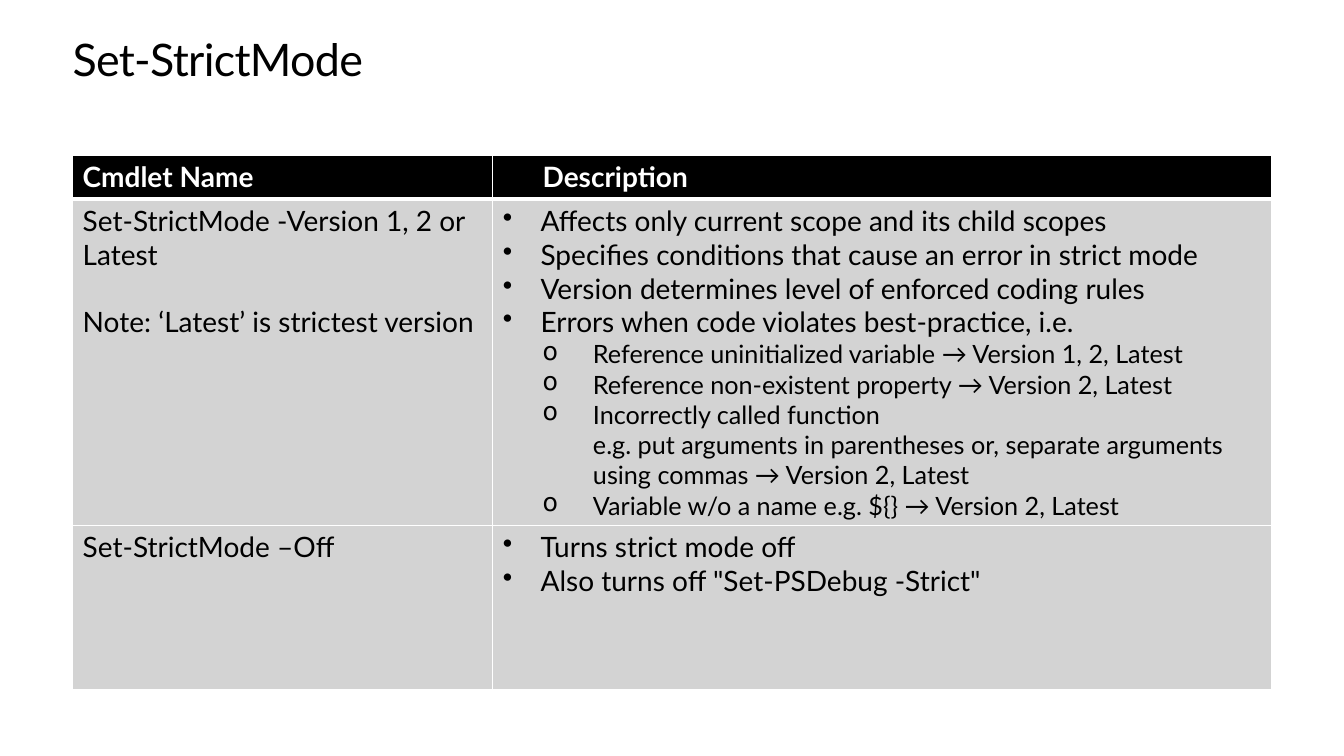
from dataclasses import dataclass

from lxml.etree import SubElement
from pptx import Presentation
from pptx.dml.color import RGBColor
from pptx.enum.text import MSO_AUTO_SIZE
from pptx.oxml.ns import qn
from pptx.util import Cm, Pt


@dataclass(frozen=True)
class Theme:
    font: str = "Lato"
    black: RGBColor = RGBColor(0x00, 0x00, 0x00)
    white: RGBColor = RGBColor(0xFF, 0xFF, 0xFF)
    gray: RGBColor = RGBColor(0xD3, 0xD3, 0xD3)
    title_size: float = 32
    body_size: float = 20
    detail_size: float = 18
    rule: float = 1
    header_rule: float = 3


THEME = Theme()


@dataclass(frozen=True)
class Line:
    text: str
    size: float = THEME.body_size
    indent: float = 0
    hanging: float = 0
    bullet: str = ""
    space_before: float = 0


@dataclass(frozen=True)
class Row:
    height: float
    name: list[Line]
    description: list[Line]


def point(text: str) -> Line:
    return Line(text, indent=0.95, hanging=0.95, bullet="•")


def detail(text: str) -> Line:
    return Line(text, THEME.detail_size, indent=2.27, hanging=1.27, bullet="o")


COLUMN_WIDTHS = (10.59, 19.63)

ROWS = [
    Row(1.1, [Line("Cmdlet Name")], [Line("Description", indent=1)]),
    Row(
        8.22,
        [
            Line("Set-StrictMode -Version 1, 2 or Latest"),
            Line("Note: ‘Latest’ is strictest version", space_before=24),
        ],
        [
            point("Affects only current scope and its child scopes"),
            point("Specifies conditions that cause an error in strict mode"),
            point("Version determines level of enforced coding rules"),
            point("Errors when code violates best-practice, i.e."),
            detail("Reference uninitialized variable → Version 1, 2, Latest"),
            detail("Reference non-existent property → Version 2, Latest"),
            detail(
                "Incorrectly called function\v"
                "e.g. put arguments in parentheses or, separate arguments "
                "using commas → Version 2, Latest"
            ),
            detail("Variable w/o a name e.g. ${} → Version 2, Latest"),
        ],
    ),
    Row(
        4.14,
        [Line("Set-StrictMode –Off")],
        [point("Turns strict mode off"), point('Also turns off "Set-PSDebug -Strict"')],
    ),
]


def write_line(para, line: Line, color: RGBColor, bold: bool = False) -> None:
    para.text = line.text
    for span in para.runs:
        span.font.name = THEME.font
        span.font.size = Pt(line.size)
        span.font.bold = bold
        span.font.color.rgb = color
    if line.space_before:
        para.space_before = Pt(line.space_before)
    if line.indent:
        properties = para._p.get_or_add_pPr()
        properties.set("marL", str(Cm(line.indent)))
        properties.set("indent", str(-Cm(line.hanging)))
        if line.bullet:
            SubElement(properties, qn("a:buChar"), char=line.bullet)


def draw_borders(cell, top: float, bottom: float) -> None:
    properties = cell._tc.get_or_add_tcPr()
    widths = {"lnL": THEME.rule, "lnR": THEME.rule, "lnT": top, "lnB": bottom}
    for side, width in widths.items():
        border = SubElement(properties, qn(f"a:{side}"), w=str(Pt(width)))
        fill = SubElement(border, qn("a:solidFill"))
        SubElement(fill, qn("a:srgbClr"), val=str(THEME.white))


def fill_cell(cell, lines: list[Line], row_index: int) -> None:
    is_header = row_index == 0
    draw_borders(
        cell,
        top=THEME.header_rule if row_index == 1 else THEME.rule,
        bottom=THEME.header_rule if is_header else THEME.rule,
    )
    cell.fill.solid()
    cell.fill.fore_color.rgb = THEME.black if is_header else THEME.gray
    frame = cell.text_frame
    for index, line in enumerate(lines):
        para = frame.add_paragraph() if index else frame.paragraphs[0]
        write_line(para, line, THEME.white if is_header else THEME.black, is_header)


def add_title(page, text: str) -> None:
    box = page.shapes.add_textbox(Cm(1.83), Cm(0.89), Cm(30.22), Cm(1.27))
    frame = box.text_frame
    frame.word_wrap = True
    frame.auto_size = MSO_AUTO_SIZE.SHAPE_TO_FIT_TEXT
    frame.margin_left = frame.margin_right = Cm(0)
    frame.margin_top = frame.margin_bottom = Cm(0)
    para = frame.paragraphs[0]
    write_line(para, Line(text, THEME.title_size), THEME.black)
    para.line_spacing = Pt(36.2)
    for span in para.runs:
        span._r.get_or_add_rPr().set("spc", "-50")


def add_cmdlet_table(page, rows: list[Row]) -> None:
    width = sum(COLUMN_WIDTHS)
    height = sum(row.height for row in rows)
    table = page.shapes.add_table(
        len(rows), len(COLUMN_WIDTHS), Cm(1.83), Cm(3.91), Cm(width), Cm(height)
    ).table
    table.horz_banding = False
    for column, column_width in zip(table.columns, COLUMN_WIDTHS):
        column.width = Cm(column_width)
    for row_index, row in enumerate(rows):
        table.rows[row_index].height = Cm(row.height)
        for column_index, lines in enumerate((row.name, row.description)):
            fill_cell(table.cell(row_index, column_index), lines, row_index)


def main() -> None:
    deck = Presentation()
    deck.slide_width = Cm(33.87)
    deck.slide_height = Cm(19.05)
    page = deck.slides.add_slide(deck.slide_layouts[6])
    add_title(page, "Set-StrictMode")
    add_cmdlet_table(page, ROWS)
    deck.save("out.pptx")


if __name__ == "__main__":
    main()
